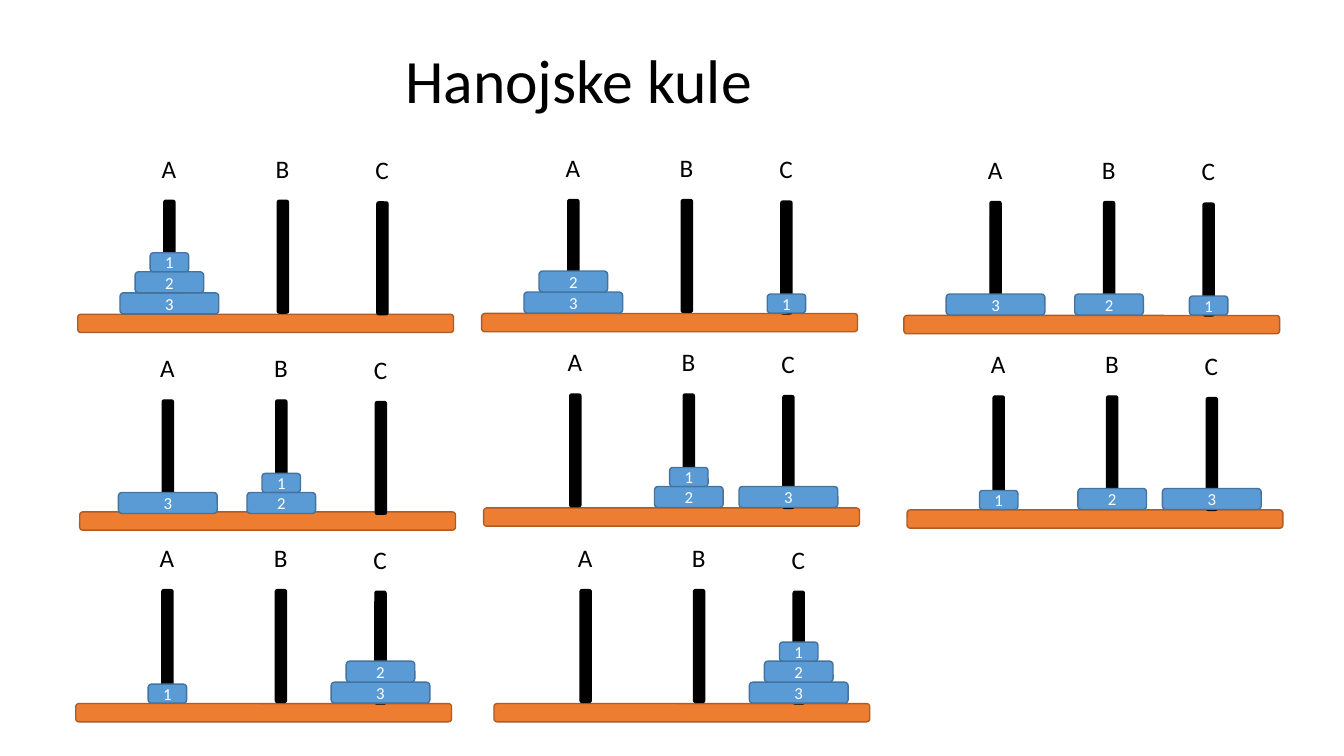
from dataclasses import dataclass

from pptx import Presentation
from pptx.dml.color import RGBColor as Rgb
from pptx.enum.shapes import MSO_SHAPE as Kind
from pptx.enum.text import MSO_ANCHOR as Anchor, MSO_AUTO_SIZE as Fit, PP_ALIGN as Align
from pptx.shapes.autoshape import Shape
from pptx.slide import Slide
from pptx.text.text import _Paragraph as Para
from pptx.util import Cm, Pt

HUES = {
    "black": "000000",
    "white": "FFFFFF",
    "base": "ED7D31",
    "base edge": "AF5C24",
    "disk": "5B9BD5",
    "disk edge": "43739E",
}
FONT = "Calibri"
BASE_W, BASE_H = 9.47, 0.46
ROD_W, ROD_H = 0.28, 2.84
ROD_X, ROD_Y = 2.31, -2.87
FLOOR = 2.86
STEP = 0.53
LABEL_Y, LABEL_H = -1.32, 1.02


@dataclass(frozen=True)
class Peg:
    name: str
    shift: float
    drop: float
    width: float


@dataclass(frozen=True)
class Disk:
    width: float
    height: float


@dataclass(frozen=True)
class Board:
    left: float
    top: float
    stacks: tuple[str, str, str]
    dx: float = 0
    dy: float = 0


PEGS = (
    Peg("A", 0, 0, 0.89),
    Peg("B", 2.86, 0, 0.86),
    Peg("C", 5.37, 0.04, 0.86),
)
DISKS = {"1": Disk(0.97, 0.48), "2": Disk(1.73, 0.53), "3": Disk(2.49, 0.53)}
BOARDS = (
    Board(1.96, 7.92, ("321", "", "")),
    Board(12.14, 7.9, ("32", "", "1")),
    Board(22.78, 7.95, ("3", "2", "1")),
    Board(2.01, 12.9, ("3", "21", ""), -0.09, 0.05),
    Board(12.19, 12.8, ("", "21", "3")),
    Board(22.86, 12.85, ("1", "2", "3")),
    Board(1.91, 17.73, ("1", "", "32")),
    Board(12.45, 17.73, ("", "", "321")),
)


def style(para: Para, size: int, hue: str) -> None:
    para.font.name = FONT
    para.font.size = Pt(size)
    para.font.color.rgb = Rgb.from_string(HUES[hue])


def add_bar(slide: Slide, left: float, top: float, width: float, height: float,
            fill: str, edge: str) -> Shape:
    bar = slide.shapes.add_shape(
        Kind.ROUNDED_RECTANGLE, Cm(left), Cm(top), Cm(width), Cm(height))
    bar.shadow.inherit = False
    bar.fill.solid()
    bar.fill.fore_color.rgb = Rgb.from_string(HUES[fill])
    bar.line.color.rgb = Rgb.from_string(HUES[edge])
    bar.line.width = Pt(1)
    return bar


def add_disk(slide: Slide, name: str, mid: float, foot: float) -> None:
    disk = DISKS[name]
    bar = add_bar(slide, mid - disk.width / 2, foot - disk.height,
                  disk.width, disk.height, "disk", "disk edge")
    frame = bar.text_frame
    frame.text = name
    frame.vertical_anchor = Anchor.MIDDLE
    para = frame.paragraphs[0]
    para.alignment = Align.CENTER
    style(para, 12, "white")


def add_label(slide: Slide, peg: Peg, mid: float, top: float) -> None:
    box = slide.shapes.add_textbox(
        Cm(mid - peg.width / 2), Cm(top), Cm(peg.width), Cm(LABEL_H))
    frame = box.text_frame
    frame.text = peg.name
    frame.word_wrap = False
    frame.auto_size = Fit.SHAPE_TO_FIT_TEXT
    style(frame.paragraphs[0], 18, "black")


def add_board(slide: Slide, board: Board) -> None:
    add_bar(slide, board.left, board.top, BASE_W, BASE_H, "base", "base edge")
    top = board.top + ROD_Y + board.dy
    for peg, stack in zip(PEGS, board.stacks):
        mid = board.left + ROD_X + board.dx + peg.shift
        add_bar(slide, mid - ROD_W / 2, top + peg.drop, ROD_W, ROD_H,
                "black", "black")
        add_label(slide, peg, mid, top + LABEL_Y + peg.drop)
        for level, name in enumerate(stack):
            add_disk(slide, name, mid, top + FLOOR - level * STEP)


def add_title(slide: Slide, text: str) -> None:
    title = slide.shapes.title
    title.left, title.top = Cm(9.96), Cm(1.02)
    title.width, title.height = Cm(21.59), Cm(2.18)
    frame = title.text_frame
    frame.text = text
    frame.auto_size = Fit.NONE
    frame.vertical_anchor = Anchor.MIDDLE
    para = frame.paragraphs[0]
    para.alignment = Align.LEFT
    para.line_spacing = 0.9
    style(para, 44, "black")


def main() -> None:
    deck = Presentation()
    deck.slide_width, deck.slide_height = Cm(33.87), Cm(19.05)
    slide = deck.slides.add_slide(deck.slide_layouts.get_by_name("Title Only"))
    add_title(slide, "Hanojske kule")
    for board in BOARDS:
        add_board(slide, board)
    deck.save("out.pptx")


if __name__ == "__main__":
    main()
